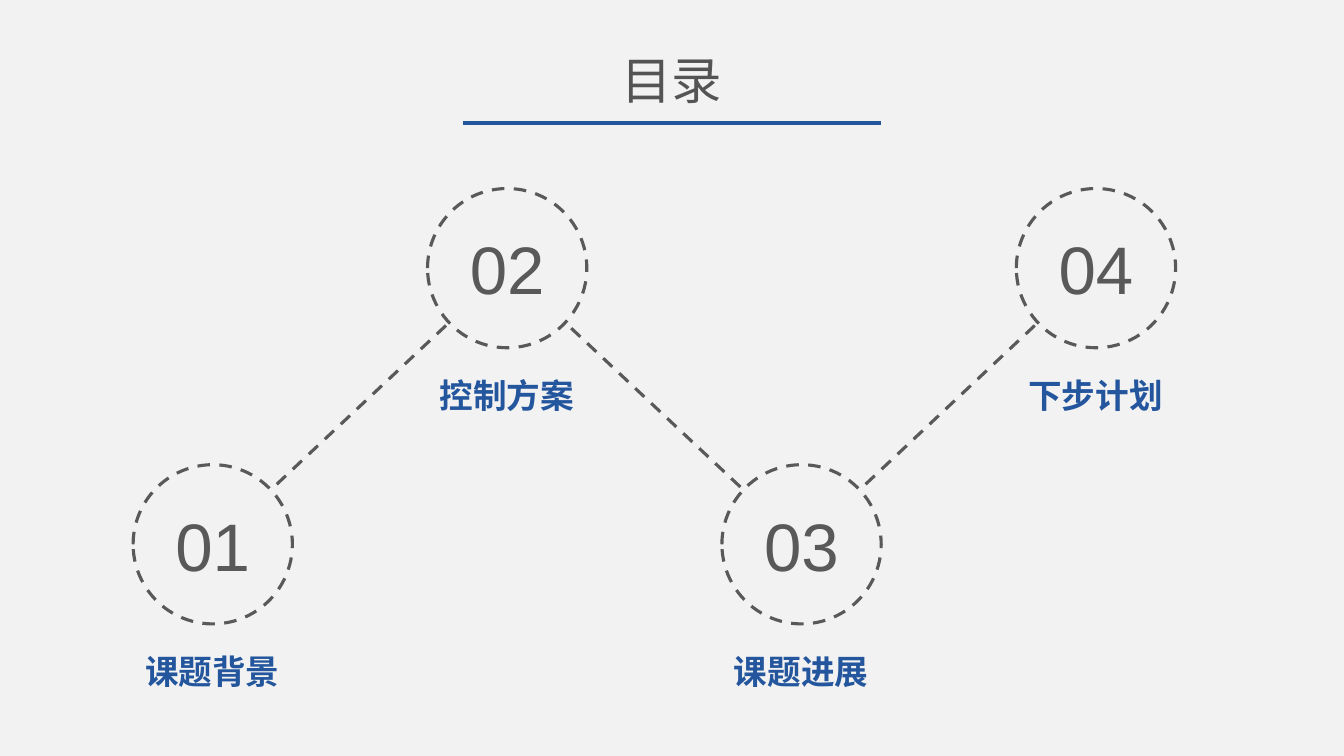
from dataclasses import dataclass
from itertools import pairwise

from lxml.etree import SubElement
from pptx import Presentation
from pptx.dml.color import RGBColor
from pptx.enum.dml import MSO_LINE
from pptx.enum.shapes import MSO_CONNECTOR, MSO_SHAPE
from pptx.enum.text import MSO_ANCHOR, PP_ALIGN
from pptx.oxml.ns import qn
from pptx.util import Inches, Pt


@dataclass(frozen=True)
class Theme:
    """Colours, fonts and type sizes of the slide."""
    background: RGBColor = RGBColor(0xF2, 0xF2, 0xF2)
    blue: RGBColor = RGBColor(0x24, 0x56, 0x9D)
    grey: RGBColor = RGBColor(0x59, 0x59, 0x59)
    title_grey: RGBColor = RGBColor(0x54, 0x54, 0x54)
    title_font: str = "Noto Sans CJK SC"
    number_font: str = "Arial"
    label_font: str = "DejaVu Sans"
    title_size: int = 36
    number_size: int = 48
    label_size: int = 24
    rule_width: float = 3.5
    dash_width: float = 2.25


THEME = Theme()
TOPICS = ["课题背景", "控制方案", "课题进展", "下步计划"]
DIAMETER = 1.58
FIRST_X, STEP_X = 2.11, 2.92
LOW_Y, HIGH_Y = 5.4, 2.66


def write(sp, text, font, size, color, align=PP_ALIGN.LEFT, bold=False):
    """Put one formatted paragraph into a shape."""
    p = sp.text_frame.paragraphs[0]
    p.text = text
    p.alignment = align
    p.font.name = font
    p.font.size = Pt(size)
    p.font.bold = bold
    p.font.color.rgb = color
    props = p._p.pPr.find(qn("a:defRPr"))
    SubElement(props, qn("a:ea")).set("typeface", font)


def style_line(line, color, width, dash=None):
    """Set the colour, width and dash of a line."""
    line.color.rgb = color
    line.width = Pt(width)
    if dash is not None:
        line.dash_style = dash


def add_line(s, start, end, color, width, dash=None):
    """Draw a straight line between two points in inches."""
    points = [Inches(v) for v in (*start, *end)]
    cxn = s.shapes.add_connector(MSO_CONNECTOR.STRAIGHT, *points)
    style_line(cxn.line, color, width, dash)
    SubElement(cxn._element.spPr, qn("a:effectLst"))


def add_title(s, text):
    """Place the title and the rule below it."""
    sp = s.shapes.title
    sp.left, sp.top = Inches(6.06), Inches(0.43)
    sp.width, sp.height = Inches(1.21), Inches(0.71)
    sp.text_frame.word_wrap = False
    write(sp, text, THEME.title_font, THEME.title_size, THEME.title_grey, PP_ALIGN.CENTER)
    add_line(s, (4.59, 1.22), (8.74, 1.22), THEME.blue, THEME.rule_width)


def add_circle(s, center, number):
    """Draw a dashed circle holding a two-digit number."""
    x, y = center
    sp = s.shapes.add_shape(
        MSO_SHAPE.OVAL, Inches(x - DIAMETER / 2), Inches(y - DIAMETER / 2),
        Inches(DIAMETER), Inches(DIAMETER))
    sp.shadow.inherit = False
    sp.fill.solid()
    sp.fill.fore_color.rgb = THEME.background
    style_line(sp.line, THEME.grey, THEME.dash_width, MSO_LINE.DASH)
    sp.text_frame.vertical_anchor = MSO_ANCHOR.MIDDLE
    write(sp, f"{number:02}", THEME.number_font, THEME.number_size, THEME.grey, PP_ALIGN.CENTER)


def add_label(s, center, text):
    """Write a topic below its circle."""
    x, y = center
    sp = s.shapes.add_textbox(Inches(x - 0.77), Inches(y + 1.01), Inches(1.55), Inches(0.5))
    sp.text_frame.word_wrap = False
    write(sp, text, THEME.label_font, THEME.label_size, THEME.blue, bold=True)


def main():
    """Build the contents slide and save it."""
    prs = Presentation()
    prs.slide_width, prs.slide_height = Inches(13.33), Inches(7.5)
    s = prs.slides.add_slide(prs.slide_layouts[5])
    s.background.fill.solid()
    s.background.fill.fore_color.rgb = THEME.background
    add_title(s, "目录")
    centers = [(FIRST_X + i * STEP_X, HIGH_Y if i % 2 else LOW_Y) for i in range(len(TOPICS))]
    for start, end in pairwise(centers):
        add_line(s, start, end, THEME.grey, THEME.dash_width, MSO_LINE.DASH)
    for number, (center, topic) in enumerate(zip(centers, TOPICS), 1):
        add_circle(s, center, number)
        add_label(s, center, topic)
    prs.save("out.pptx")


if __name__ == "__main__":
    main()
